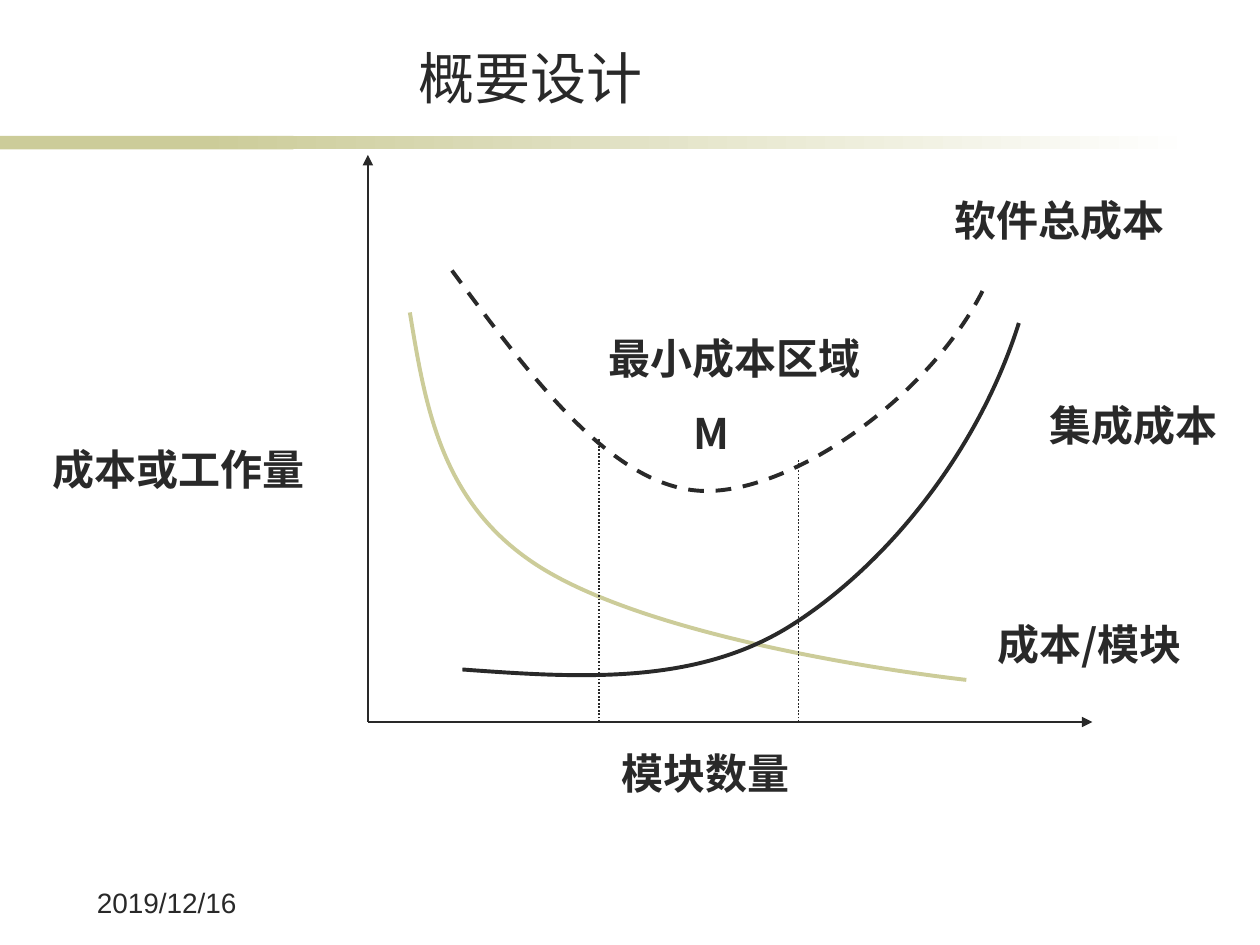
from dataclasses import dataclass

from lxml import etree
from pptx import Presentation
from pptx.dml.color import RGBColor
from pptx.enum.dml import MSO_LINE
from pptx.enum.shapes import MSO_CONNECTOR, MSO_SHAPE
from pptx.enum.text import MSO_ANCHOR, PP_ALIGN
from pptx.oxml.ns import qn
from pptx.util import Inches, Pt

STRAIGHT = MSO_CONNECTOR.STRAIGHT
RECTANGLE = MSO_SHAPE.RECTANGLE
DASH, DOTS = MSO_LINE.DASH, MSO_LINE.ROUND_DOT
CENTER, LEFT = PP_ALIGN.CENTER, PP_ALIGN.LEFT
BOTTOM, TOP = MSO_ANCHOR.BOTTOM, MSO_ANCHOR.TOP
INK, OLIVE, WHITE = "292929", "CCCC99", "FFFFFF"
CJK_FONT = "Noto Sans CJK SC"
COLUMNS, ROWS = 69, 54

CURVES = [
    (OLIVE, None, [(4, 15), (5.5, 24.1), (7, 33.1), (16, 39),
                   (25, 44.9), (44.25, 48.5), (57, 50)]),
    (INK, None, [(9, 49), (20, 49.8), (31, 50.5), (40, 45),
                 (48.9, 39.5), (58, 28.7), (62, 16)]),
    (INK, DASH, [(8, 11), (15.75, 21.5), (23.5, 31.8), (32, 32),
                 (40.5, 32.2), (54.1, 22.7), (59, 12)]),
]
GUIDES = [(22, 27), (41, 29)]
LABELS = [
    ("软件总成本", 54.7, 3.2, 22.5),
    ("集成成本", 63.7, 22.7, 18.5),
    ("成本/模块", 58.8, 43.6, 20.5),
    ("模块数量", 23, 55.8, 18.5),
    ("成本或工作量", -31.2, 26.9, 26.5),
    ("最小成本区域", 21.7, 16.3, 26.5),
    ("M", 29.8, 23.5, 4.5),
]


@dataclass
class Box:
    """A rectangle in EMU that places things by shares of itself."""
    left: float
    top: float
    width: float
    height: float

    def point(self, x, y):
        """Return the position at the given shares."""
        return round(self.left + x * self.width), round(self.top + y * self.height)

    def inner(self, x, y, width, height):
        """Return an inner box given by shares."""
        return Box(*self.point(x, y), round(width * self.width), round(height * self.height))

    def cell(self, column, row):
        """Return the position of a grid crossing."""
        return self.point(column / COLUMNS, row / ROWS)

    def bounds(self):
        """Return left, top, width and height."""
        return self.left, self.top, self.width, self.height


def color(value):
    """Turn a hex string into a colour."""
    return RGBColor.from_string(value)


def add_text(shapes, box, text, size, font, bold=False, align=LEFT, anchor=TOP):
    """Add a text box with one formatted paragraph."""
    frame = shapes.add_textbox(*box.bounds()).text_frame
    frame.word_wrap = True
    frame.vertical_anchor = anchor
    frame.text = text
    paragraph = frame.paragraphs[0]
    paragraph.alignment = align
    run = paragraph.runs[0]
    run.font.size, run.font.name, run.font.bold = Pt(size), font, bold
    run.font.color.rgb = color(INK)
    if font == CJK_FONT:
        properties = run.font._element
        etree.SubElement(properties, qn("a:ea")).set("typeface", font)


def style_line(line, value, width, dash=None):
    """Set the colour, width and dash of a line."""
    line.color.rgb = color(value)
    line.width = Pt(width)
    if dash:
        line.dash_style = dash


def add_line(shapes, start, end, dash=None, arrow=False):
    """Add a thin straight line, with an arrowhead at its end if asked."""
    connector = shapes.add_connector(STRAIGHT, *start, *end)
    style_line(connector.line, INK, 1, dash)
    if arrow:
        tail = etree.SubElement(connector.line._get_or_add_ln(), qn("a:tailEnd"))
        tail.set("type", "triangle")
    etree.SubElement(connector._element.spPr, qn("a:effectLst"))


def add_curve(shapes, points, value, dash):
    """Add an open Bézier curve from its anchors and control points."""
    builder = shapes.build_freeform(*points[0], scale=1.0)
    builder.add_line_segments(points[1:], close=False)
    shape = builder.convert_to_shape()
    outline = shape._element.find(".//" + qn("a:path"))
    segments = outline.findall(qn("a:lnTo"))
    for index in range(0, len(segments), 3):
        bezier = etree.SubElement(outline, qn("a:cubicBezTo"))
        for segment in segments[index:index + 3]:
            bezier.append(segment[0])
            outline.remove(segment)
    shape.fill.background()
    shape.shadow.inherit = False
    style_line(shape.line, value, 2.25, dash)


def add_header(shapes, box):
    """Add the title and the fading band beneath it."""
    solid = shapes.add_shape(RECTANGLE, *box.inner(0, 0.91, 0.233, 0.09).bounds())
    solid.fill.solid()
    solid.fill.fore_color.rgb = color(OLIVE)
    fading = shapes.add_shape(RECTANGLE, *box.inner(0.158, 0.91, 0.792, 0.09).bounds())
    fading.fill.gradient()
    fading.fill.gradient_angle = 0
    for stop, value, position in zip(fading.fill.gradient_stops, (OLIVE, WHITE), (0, 1)):
        stop.color.rgb = color(value)
        stop.position = position
    for band in (solid, fading):
        band.line.fill.background()
        band.shadow.inherit = False
    add_text(shapes, box.inner(0.114, 0.25, 0.614, 0.53), "概要设计", 32, "Arial",
             align=CENTER, anchor=BOTTOM)


def add_diagram(shapes, box):
    """Add the axes, cost curves, guides and labels as one group."""
    group = shapes.add_group_shape().shapes
    for end in ((0, 0), (COLUMNS, ROWS)):
        add_line(group, box.cell(0, ROWS), box.cell(*end), arrow=True)
    for value, dash, points in CURVES:
        add_curve(group, [box.cell(*point) for point in points], value, dash)
    for column, row in GUIDES:
        add_line(group, box.cell(column, ROWS), box.cell(column, row), DOTS)
    for text, column, row, columns in LABELS:
        area = box.inner(column / COLUMNS, row / ROWS, columns / COLUMNS, 6 / ROWS)
        add_text(group, area, text, 24, CJK_FONT, bold=True)


def add_footer(shapes, box):
    """Add the date."""
    add_text(shapes, box, "2019/12/16", 16, "Arial")


def main():
    """Build and save the slide."""
    presentation = Presentation()
    presentation.slide_width, presentation.slide_height = Inches(10), Inches(7.5)
    slide = presentation.slides.add_slide(presentation.slide_layouts[6])
    page = Box(0, 0, presentation.slide_width, presentation.slide_height)
    add_header(slide.shapes, page.inner(0, 0, 1, 0.158))
    add_diagram(slide.shapes, page.inner(0.292, 0.164, 0.575, 0.6))
    add_footer(slide.shapes, page.inner(0.067, 0.931, 0.141, 0.052))
    presentation.save("out.pptx")


if __name__ == "__main__":
    main()
